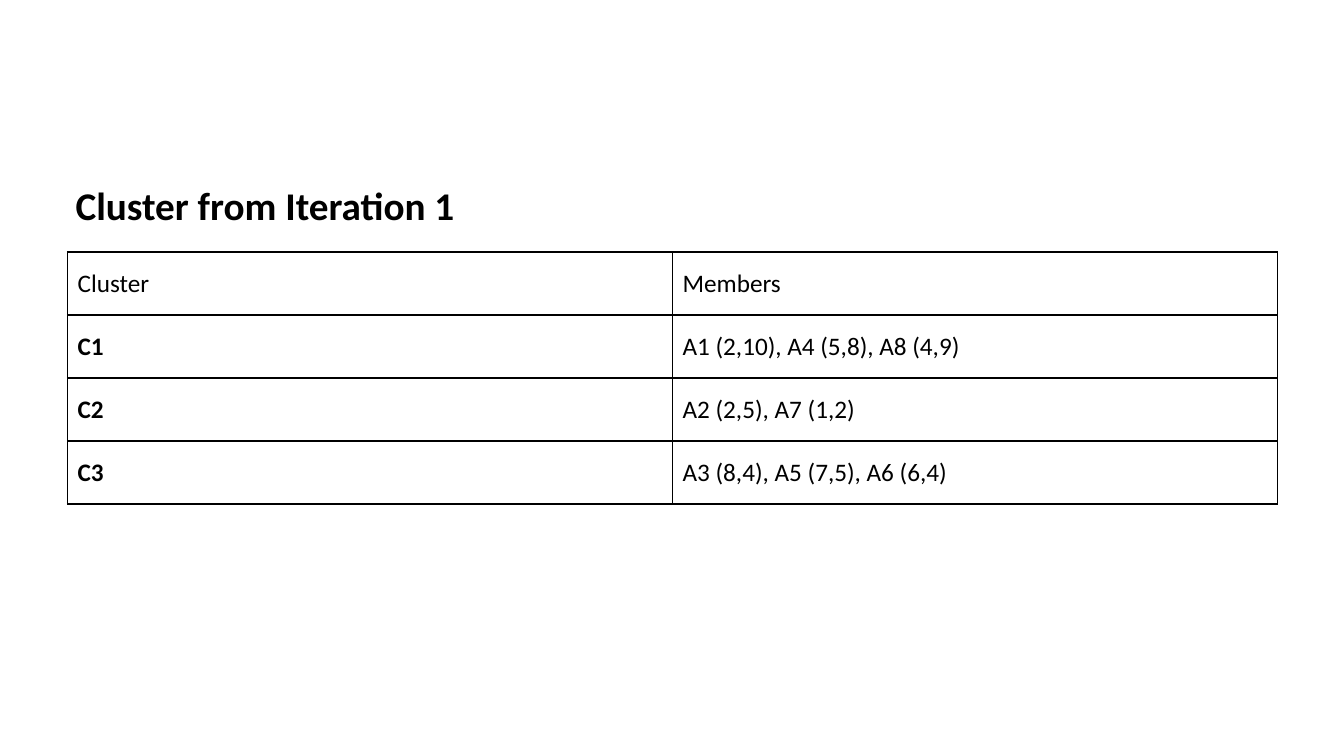
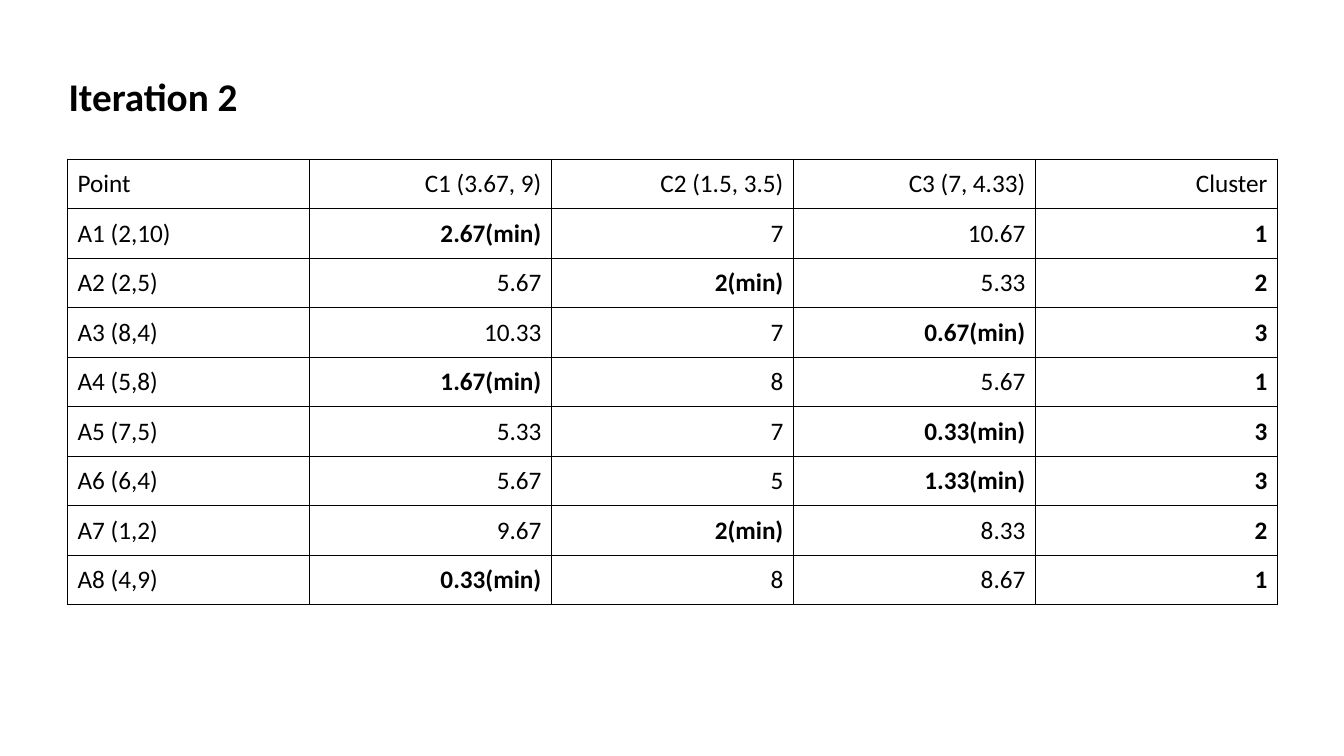
from dataclasses import dataclass

from lxml.etree import SubElement
from pptx import Presentation
from pptx.dml.color import RGBColor
from pptx.enum.text import MSO_ANCHOR, MSO_AUTO_SIZE, PP_ALIGN
from pptx.oxml.ns import qn
from pptx.presentation import Presentation as Deck
from pptx.slide import Slide
from pptx.table import _Cell
from pptx.text.text import Font
from pptx.util import Inches, Pt

# Shared style
BLACK = RGBColor(0x00, 0x00, 0x00)
FONT = "Calibri"
TITLE_SIZE = Pt(28)
CELL_SIZE = Pt(18)
BORDER = Pt(1)
TITLE_HEIGHT = 0.57
TABLE_LEFT, TABLE_WIDTH = 0.67, 12
TITLE_ONLY = 5


@dataclass(frozen=True)
class TableSlide:
    title: str
    title_box: tuple[float, float, float]  # left, top, width
    table_top: float
    table_height: float
    rows: list[list[str]]
    bold_column: int
    value_align: PP_ALIGN


SLIDES = [
    TableSlide(
        "Cluster from Iteration 1", (0.65, 1.75, 4.04), 2.5, 2.5,
        [
            ["Cluster", "Members"],
            ["C1", "A1 (2,10), A4 (5,8), A8 (4,9)"],
            ["C2", "A2 (2,5), A7 (1,2)"],
            ["C3", "A3 (8,4), A5 (7,5), A6 (6,4)"],
        ],
        bold_column=0, value_align=PP_ALIGN.LEFT,
    ),
    TableSlide(
        "Iteration 2", (0.58, 0.67, 1.92), 1.58, 4.42,
        [
            ["Point", "C1 (3.67, 9)", "C2 (1.5, 3.5)", "C3 (7, 4.33)", "Cluster"],
            ["A1 (2,10)", "2.67(min)", "7", "10.67", "1"],
            ["A2 (2,5)", "5.67", "2(min)", "5.33", "2"],
            ["A3 (8,4)", "10.33", "7", "0.67(min)", "3"],
            ["A4 (5,8)", "1.67(min)", "8", "5.67", "1"],
            ["A5 (7,5)", "5.33", "7", "0.33(min)", "3"],
            ["A6 (6,4)", "5.67", "5", "1.33(min)", "3"],
            ["A7 (1,2)", "9.67", "2(min)", "8.33", "2"],
            ["A8 (4,9)", "0.33(min)", "8", "8.67", "1"],
        ],
        bold_column=4, value_align=PP_ALIGN.RIGHT,
    ),
]


def style_font(font: Font, size: Pt, bold: bool) -> None:
    font.name, font.size, font.bold = FONT, size, bold
    font.color.rgb = BLACK


def add_borders(cell: _Cell) -> None:
    properties = cell._tc.get_or_add_tcPr()
    for side in ("a:lnL", "a:lnR", "a:lnT", "a:lnB"):
        line = SubElement(properties, qn(side), w=str(BORDER))
        fill = SubElement(line, qn("a:solidFill"))
        SubElement(fill, qn("a:srgbClr"), val=str(BLACK))


def add_title(slide: Slide, content: TableSlide) -> None:
    title = slide.shapes.title
    left, top, width = content.title_box
    title.left, title.top = Inches(left), Inches(top)
    title.width, title.height = Inches(width), Inches(TITLE_HEIGHT)
    frame = title.text_frame
    frame.text = content.title
    frame.word_wrap = False
    frame.auto_size = MSO_AUTO_SIZE.SHAPE_TO_FIT_TEXT
    frame.vertical_anchor = MSO_ANCHOR.TOP
    heading = frame.paragraphs[0]
    heading.alignment = PP_ALIGN.LEFT
    style_font(heading.runs[0].font, TITLE_SIZE, bold=True)


def add_grid(slide: Slide, content: TableSlide) -> None:
    table = slide.shapes.add_table(
        len(content.rows), len(content.rows[0]),
        Inches(TABLE_LEFT), Inches(content.table_top),
        Inches(TABLE_WIDTH), Inches(content.table_height),
    ).table
    table.first_row = table.horz_banding = False
    for row, texts in enumerate(content.rows):
        for column, text in enumerate(texts):
            cell = table.cell(row, column)
            add_borders(cell)
            cell.fill.background()
            cell.vertical_anchor = MSO_ANCHOR.MIDDLE
            cell.text_frame.text = text
            entry = cell.text_frame.paragraphs[0]
            entry.alignment = content.value_align if column else PP_ALIGN.LEFT
            # The key column and each row's minimum stand out
            bold = row > 0 and (column == content.bold_column or text.endswith("(min)"))
            style_font(entry.runs[0].font, CELL_SIZE, bold)


def build() -> Deck:
    deck = Presentation()
    deck.slide_width, deck.slide_height = Inches(13.33), Inches(7.5)
    for content in SLIDES:
        slide = deck.slides.add_slide(deck.slide_layouts[TITLE_ONLY])
        add_grid(slide, content)
        add_title(slide, content)
    return deck


if __name__ == "__main__":
    build().save("out.pptx")
